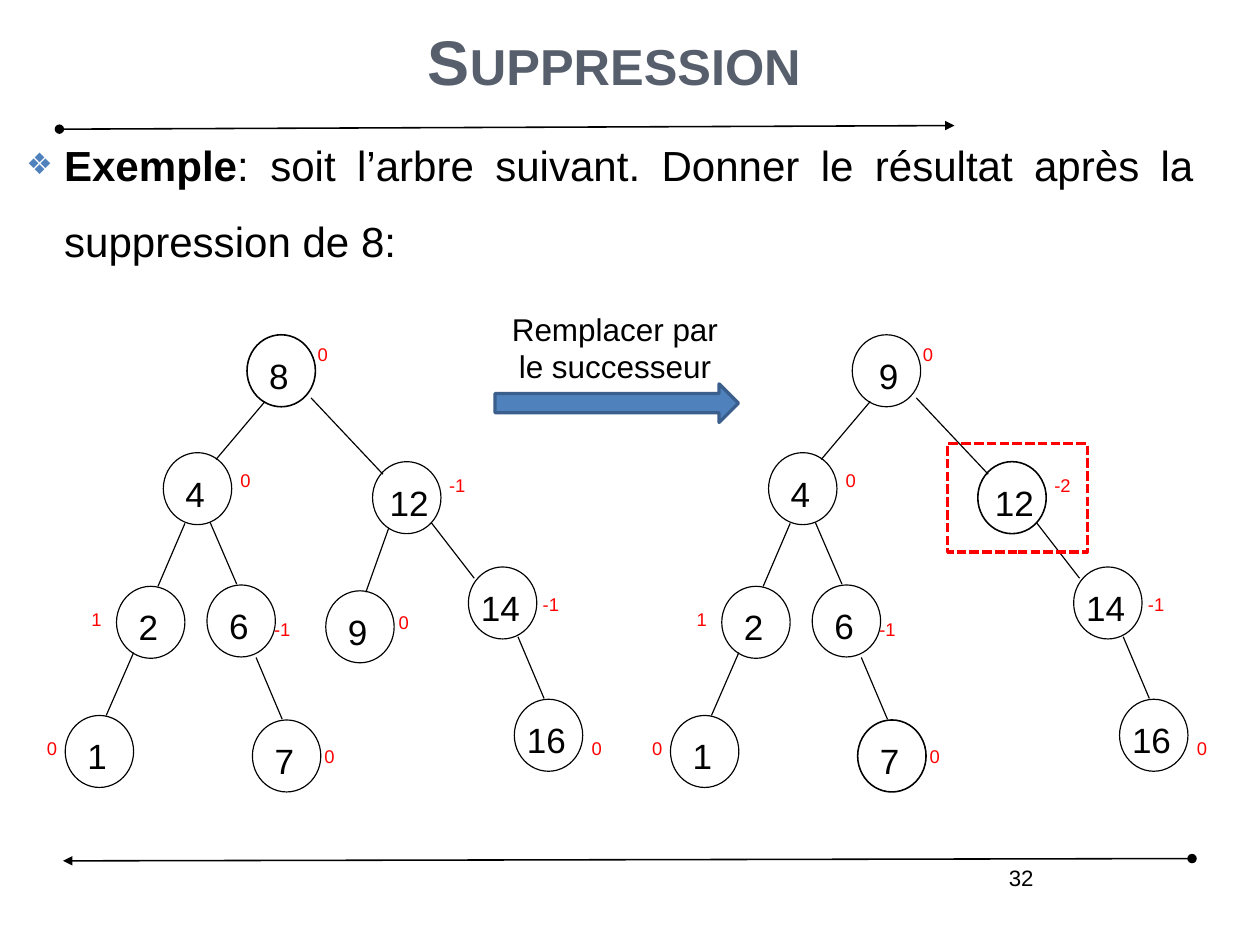
from dataclasses import dataclass, replace
from typing import Any, Optional

from lxml import etree
from pptx import Presentation
from pptx import util as u
from pptx.dml.color import RGBColor
from pptx.enum import dml, shapes, text
from pptx.oxml import ns

BLACK, RED, BLUE, DARK_BLUE, SLATE = "000000", "FF0000", "4F81BD", "3A5F8C", "575F6D"
NODE_WIDTH, NODE_HEIGHT = 1.52, 1.6
TREE_STEP = 13.45
ALIGN, FIT = text.PP_ALIGN, text.MSO_AUTO_SIZE
ANCHOR = text.MSO_ANCHOR


@dataclass(frozen=True)
class Node:
    key: str
    left: float
    top: float
    balance: str
    balance_left: float
    balance_top: float
    branch: Optional[tuple[float, float, float, float]] = None
    label_shift: float = -0.05
    outline: float = 0.75


@dataclass(frozen=True)
class Rule:
    start: tuple[float, float]
    end: tuple[float, float]


FIRST_TREE = [
    Node("8", 5.49, 7.44, "0", 6.81, 7.49, outline=1),
    Node("4", 3.63, 10.06, "0", 5.09, 10.31, (5.89, 8.92, 4.8, 10.21)),
    Node("12", 8.28, 10.26, "-1", 9.73, 10.41, (6.91, 8.84, 8.51, 10.54), 0.05),
    Node("2", 2.59, 13.03, "1", 1.78, 13.39, (4.11, 11.63, 3.51, 13.03)),
    Node("6", 4.6, 13, "-1", 5.84, 13.61, (4.67, 11.61, 5.26, 12.98)),
    Node("9", 7.24, 13.13, "0", 8.61, 13.46, (8.64, 11.73, 8.13, 13.16)),
    Node("14", 10.41, 12.6, "-1", 11.81, 13.06, (9.58, 11.61, 10.54, 12.85)),
    Node("1", 1.45, 15.9, "0", 0.79, 16.26, (2.97, 14.5, 2.36, 15.9)),
    Node("7", 5.61, 16, "0", 6.96, 16.43, (5.69, 14.61, 6.27, 15.98)),
    Node("16", 11.43, 15.54, "0", 12.9, 16.26, (11.51, 14.15, 12.09, 15.52)),
]
CHANGES: dict[str, dict[str, Any]] = {
    "8": {"key": "9", "label_shift": 0.05, "outline": 0.75},
    "12": {"balance": "-2", "outline": 1},
    "7": {"outline": 1},
}
SECOND_TREE = [replace(node, **CHANGES.get(node.key, {})) for node in FIRST_TREE if node.key != "9"]
RULES = [Rule((1.32, 2.87), (21.21, 2.79)), Rule((26.49, 19.08), (1.4, 19.13))]


def colour(value: str) -> RGBColor:
    return RGBColor.from_string(value)


def apply_format(target: Any, values: dict[str, Any]) -> None:
    for name, value in values.items():
        setattr(target, name, value)


def lengths(*values: float) -> list[int]:
    return [u.Cm(value) for value in values]


def add_span(para: Any, words: str, size: float, shade: str = BLACK, bold: bool = False) -> None:
    span = para.add_run()
    span.text = words
    apply_format(span.font, {"name": "Arial", "size": u.Pt(size), "bold": bold})
    span.font.color.rgb = colour(shade)


def add_label(parent: Any, area: tuple, words: str, size: float, shade: str = BLACK,
              align: Any = ALIGN.LEFT, wrap: bool = False, fit: Any = FIT.SHAPE_TO_FIT_TEXT) -> None:
    box = parent.shapes.add_textbox(*lengths(*area))
    apply_format(box.text_frame, {"word_wrap": wrap, "auto_size": fit})
    para = box.text_frame.paragraphs[0]
    para.alignment = align
    add_span(para, words, size, shade)


def add_outline(parent: Any, kind: Any, area: tuple, line: str, width: float,
                fill: Optional[str] = None) -> Any:
    shape = parent.shapes.add_shape(kind, *lengths(*area))
    shape.shadow.inherit = False
    if fill:
        shape.fill.solid()
        shape.fill.fore_color.rgb = colour(fill)
    else:
        shape.fill.background()
    shape.line.color.rgb = colour(line)
    shape.line.width = u.Pt(width)
    return shape


def add_line(parent: Any, ends: tuple, width: float) -> Any:
    line = parent.shapes.add_connector(shapes.MSO_CONNECTOR.STRAIGHT, *lengths(*ends))
    line.line.color.rgb = colour(BLACK)
    line.line.width = u.Pt(width)
    etree.SubElement(line.element.find(ns.qn("p:spPr")), ns.qn("a:effectLst"))
    return line


def draw_rule(page: Any, rule: Rule) -> None:
    line = add_line(page, (*rule.start, *rule.end), 1)
    outline = line.element.find(".//" + ns.qn("a:ln"))
    for tag, kind in (("a:headEnd", "oval"), ("a:tailEnd", "triangle")):
        etree.SubElement(outline, ns.qn(tag), type=kind)


def draw_node(tree: Any, node: Node, shift: float) -> None:
    if node.branch:
        x1, y1, x2, y2 = node.branch
        add_line(tree, (x1 + shift, y1, x2 + shift, y2), 0.75)
    area = (node.left + shift, node.top, NODE_WIDTH, NODE_HEIGHT)
    circle = add_outline(tree, shapes.MSO_SHAPE.OVAL, area, BLACK, node.outline)
    apply_format(circle.text_frame, {
        "word_wrap": False,
        "vertical_anchor": ANCHOR.MIDDLE,
        "margin_left": u.Cm(0.1 + node.label_shift),
        "margin_right": u.Cm(0.1 - node.label_shift),
        "margin_top": u.Cm(0.2),
        "margin_bottom": 0,
    })
    para = circle.text_frame.paragraphs[0]
    para.alignment = ALIGN.CENTER
    add_span(para, node.key, 22.1)
    width = 0.74 if len(node.balance) == 1 else 0.89
    add_label(tree, (node.balance_left + shift, node.balance_top, width, 0.76),
              node.balance, 11.6, RED)


def place(box: Any, area: tuple, anchor: Any) -> Any:
    apply_format(box, dict(zip(("left", "top", "width", "height"), lengths(*area))))
    apply_format(box.text_frame, {"word_wrap": True, "auto_size": FIT.NONE, "vertical_anchor": anchor})
    return box.text_frame.paragraphs[0]


def fill_title(box: Any) -> None:
    para = place(box, (1.4, -2.29, 24.51, 4.6), ANCHOR.BOTTOM)
    apply_format(para, {"alignment": ALIGN.CENTER, "line_spacing": 1.5})
    add_span(para, "Suppression", 39.7, SLATE, True)
    box.element.find(".//" + ns.qn("a:rPr")).set("cap", "small")


def fill_body(box: Any) -> None:
    para = place(box, (0.33, 2.41, 26.47, 18.59), ANCHOR.TOP)
    apply_format(para, {"alignment": ALIGN.JUSTIFY, "line_spacing": 1.5, "space_before": u.Pt(6.6)})
    add_span(para, "Exemple", 26.5, bold=True)
    add_span(para, ": soit l’arbre suivant. Donner le résultat après la suppression de 8:", 26.5)
    settings = box.element.find(".//" + ns.qn("a:pPr"))
    settings.set("marL", str(u.Cm(0.84)))
    settings.set("indent", str(u.Cm(-0.84)))
    bullet = etree.SubElement(settings, ns.qn("a:buClr"))
    etree.SubElement(bullet, ns.qn("a:srgbClr"), val=BLUE)
    etree.SubElement(settings, ns.qn("a:buSzPct"), val="70000")
    etree.SubElement(settings, ns.qn("a:buFont"), typeface="Arial")
    etree.SubElement(settings, ns.qn("a:buChar"), char="❖")


def main() -> None:
    deck = Presentation()
    apply_format(deck, {"slide_width": u.Cm(28), "slide_height": u.Cm(21)})
    page = deck.slides.add_slide(deck.slide_layouts[1])
    fill_title(page.shapes.title)
    fill_body(page.placeholders[1])
    for rule in RULES:
        draw_rule(page, rule)
    add_label(page, (16.69, 19.08, 6.53, 1.45), "32", 14, align=ALIGN.RIGHT, wrap=True, fit=FIT.NONE)
    for index, nodes in enumerate((FIRST_TREE, SECOND_TREE)):
        tree = page.shapes.add_group_shape()
        for node in nodes:
            draw_node(tree, node, index * TREE_STEP)
    focus = add_outline(page, shapes.MSO_SHAPE.RECTANGLE, (21.06, 9.86, 3.1, 2.41), RED, 2)
    focus.line.dash_style = dml.MSO_LINE.SQUARE_DOT
    step = page.shapes.add_group_shape()
    add_outline(step, shapes.MSO_SHAPE.RIGHT_ARROW, (11, 8.53, 5.41, 0.86), DARK_BLUE, 2, BLUE)
    add_label(step, (10.92, 6.76, 5.49, 1.96), "Remplacer par le successeur", 19.8,
              align=ALIGN.CENTER, wrap=True)
    deck.save("out.pptx")


if __name__ == "__main__":
    main()
